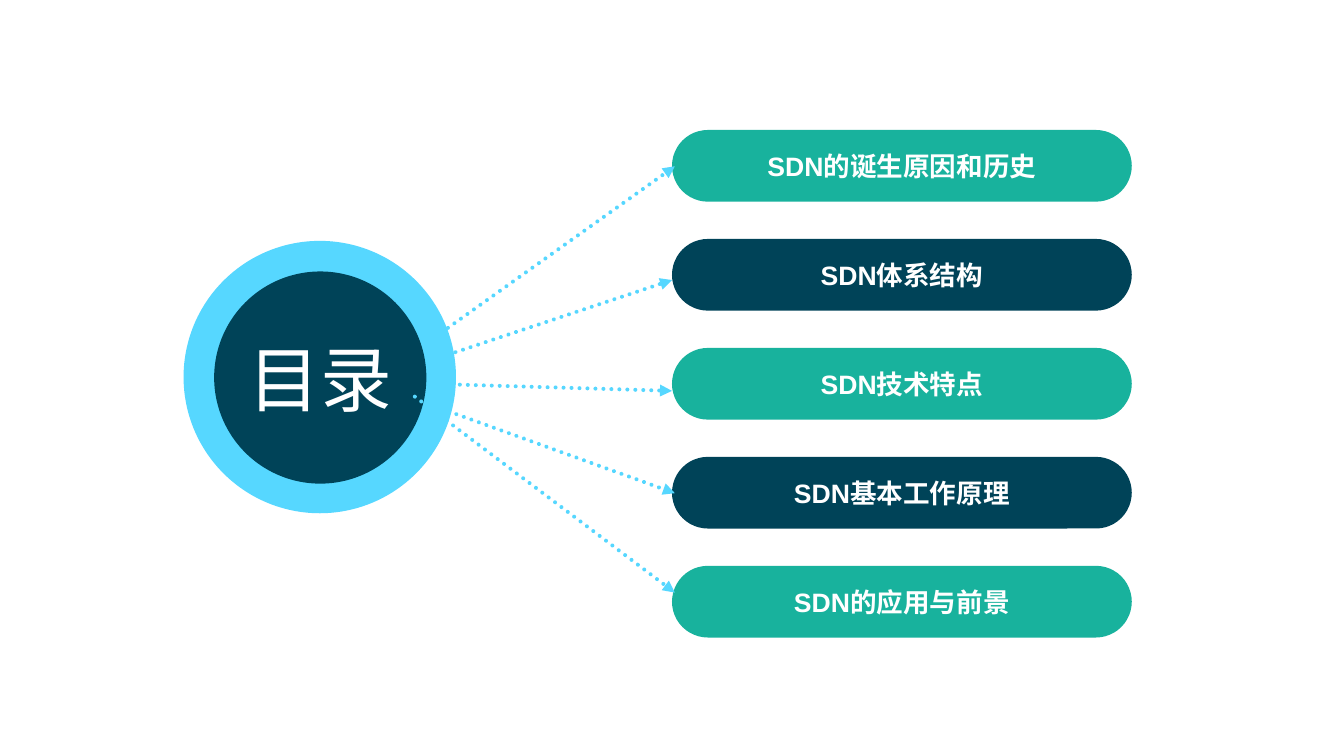
from pptx import Presentation
from pptx.dml.color import RGBColor
from pptx.enum.dml import MSO_LINE
from pptx.enum.shapes import MSO_CONNECTOR, MSO_SHAPE
from pptx.enum.text import MSO_ANCHOR, MSO_AUTO_SIZE, PP_ALIGN
from pptx.oxml.ns import qn
from pptx.util import Inches, Pt
from lxml.etree import SubElement

COLORS = {"sky": "56D7FF", "navy": "004358", "teal": "18B29D", "white": "FFFFFF"}
color = {name: RGBColor.from_string(code) for name, code in COLORS.items()}


def write(shape, text, size=20, bold=False, ink="white"):
    frame = shape.text_frame
    frame.auto_size = MSO_AUTO_SIZE.NONE
    frame.word_wrap = True
    frame.vertical_anchor = MSO_ANCHOR.MIDDLE
    frame.margin_left = frame.margin_right = 0
    frame.margin_top = frame.margin_bottom = 0
    line = frame.paragraphs[0]
    line.alignment = PP_ALIGN.CENTER
    run = line.add_run()
    run.text = text
    run.font.name = "Arial"
    run.font.size = Pt(size)
    run.font.bold = bold
    run.font.color.rgb = color[ink]


def draw(kind, left, top, width, height, fill):
    shape = slide.shapes.add_shape(
        kind, Inches(left), Inches(top), Inches(width), Inches(height))
    shape.shadow.inherit = False
    shape.fill.solid()
    shape.fill.fore_color.rgb = color[fill]
    shape.line.fill.background()
    return shape


deck = Presentation()
deck.slide_width, deck.slide_height = Inches(14.06), Inches(7.91)
slide = deck.slides.add_slide(deck.slide_layouts[5])

# Topic pills
topics = ["SDN的诞生原因和历史", "SDN体系结构", "SDN技术特点",
          "SDN基本工作原理", "SDN的应用与前景"]
for row, topic in enumerate(topics):
    fill = "navy" if row % 2 else "teal"
    pill = draw(MSO_SHAPE.ROUNDED_RECTANGLE, 7.03, 1.36 + 1.14 * row, 4.81, 0.75, fill)
    pill.adjustments[0] = 0.5
    write(pill, topic, bold=True)

# Dotted arrows from the hub to the pills
ends = [(4.21, 3.77, 7.06, 1.74), (4.21, 3.87, 7.03, 2.93), (4.31, 4.01, 7.03, 4.09),
        (4.46, 4.22, 7.06, 5.16), (4.34, 4.15, 7.06, 6.2)]
for end in ends:
    # The hub covers every arrow but the last
    if end == ends[-1]:
        draw(MSO_SHAPE.OVAL, 1.92, 2.52, 2.85, 2.85, "sky")
        draw(MSO_SHAPE.OVAL, 2.24, 2.84, 2.22, 2.22, "navy")
    arrow = slide.shapes.add_connector(MSO_CONNECTOR.STRAIGHT, *map(Inches, end))
    arrow.line.color.rgb = color["sky"]
    arrow.line.width = Pt(3)
    arrow.line.dash_style = MSO_LINE.ROUND_DOT
    stroke = arrow.line._get_or_add_ln()
    stroke.set("cap", "rnd")
    SubElement(stroke, qn("a:tailEnd"), type="triangle")
    SubElement(arrow._element.spPr, qn("a:effectLst"))

# Title in front of the hub
title = slide.shapes.title
title.left, title.top = Inches(2.24), Inches(2.84)
title.width = title.height = Inches(2.22)
write(title, "目录", size=54)
slide.shapes._spTree.append(title._element)

deck.save("out.pptx")
